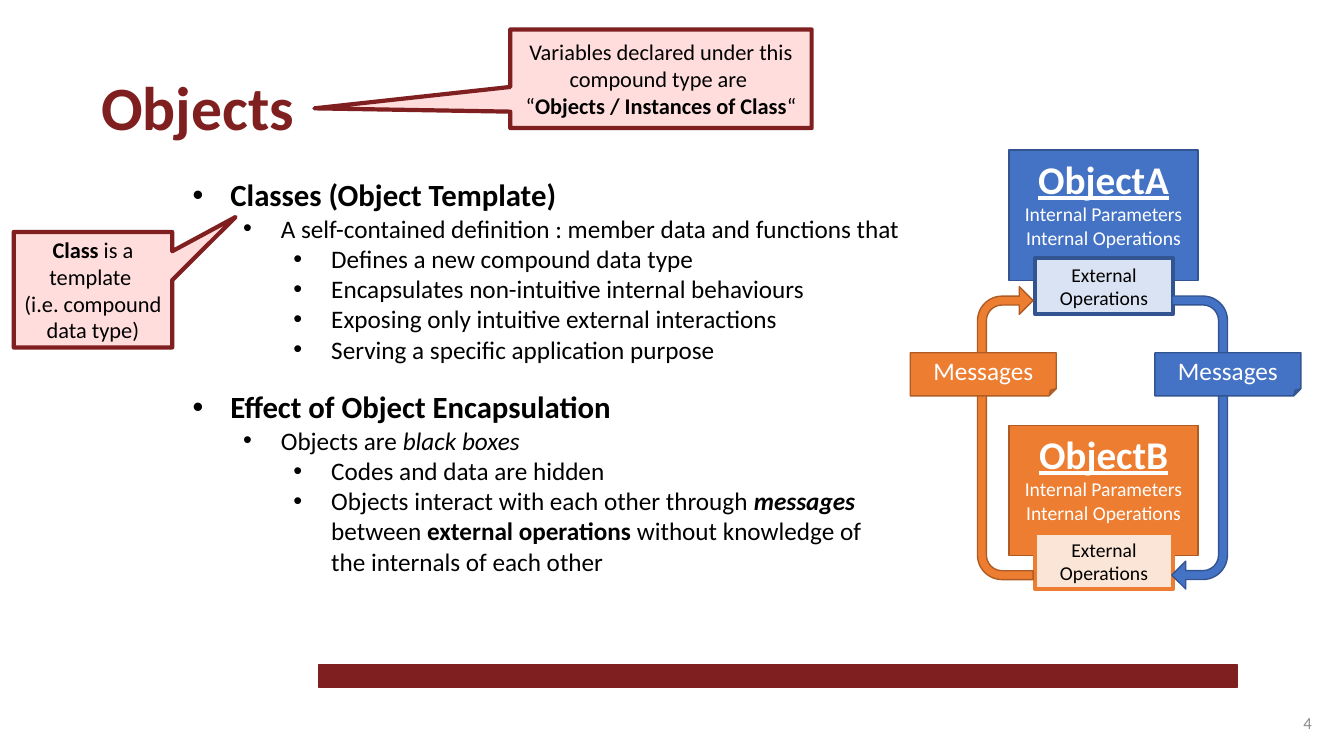
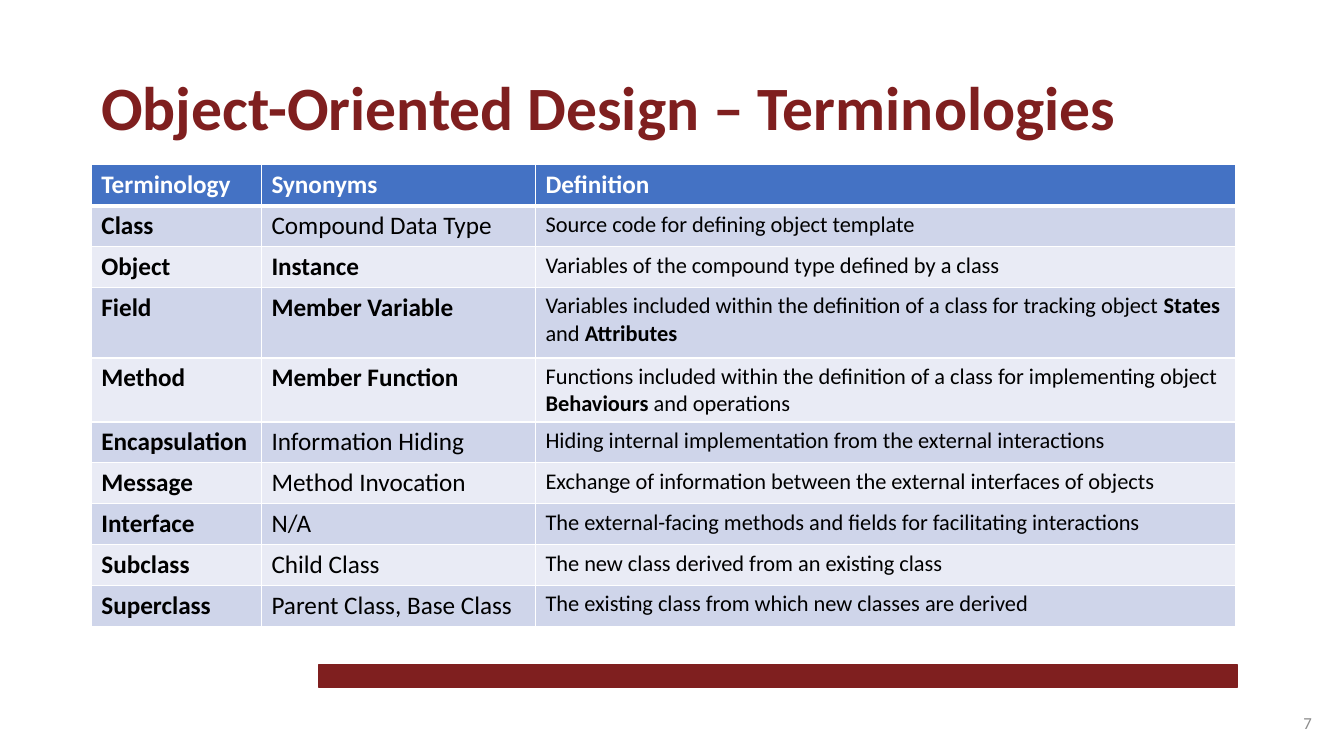
from pptx import Presentation
from pptx.dml.color import RGBColor
from pptx.enum.shapes import MSO_SHAPE as Preset
from pptx.enum.text import MSO_ANCHOR as Anchor, MSO_AUTO_SIZE as AutoSize, PP_ALIGN as Align
from pptx.oxml.ns import qn
from pptx.util import Emu, Pt
from lxml.etree import SubElement, Element

FONT = "Calibri"
MAROON, PINK = "7F1F1F", "FFDDDD"
BLUE, DARK_BLUE, PALE_BLUE = "4472C4", "325491", "DAE3F3"
ORANGE, DARK_ORANGE, PALE_ORANGE = "ED7D31", "AF5C24", "FBE5D6"
BAND_DARK, BAND_LIGHT = "CFD5EA", "E9EBF5"
BLACK, WHITE, GREY = "000000", "FFFFFF", "8C8C8C"

LEFT, CONTENT_WIDTH = 87, 1090
INDENT = 36
ROW_HEIGHT = 39
TALL_ROWS = {"Field": 67, "Method": 61}
COLUMN_WIDTHS = (162, 261, 667)

OUTLINE = [
    (0, [("Classes (Object Template)", "b")]),
    (1, ["A self-contained definition : member data and functions that"]),
    (2, ["Defines a new compound data type"]),
    (2, ["Encapsulates non-intuitive internal behaviours"]),
    (2, ["Exposing only intuitive external interactions"]),
    (2, ["Serving a specific application purpose"]),
    (0, [("Effect of Object Encapsulation", "b")]),
    (1, ["Objects are ", ("black boxes", "i")]),
    (2, ["Codes and data are hidden"]),
    (2, ["Objects interact with each other through ", ("messages\n", "bi"), "between ",
         ("external operations ", "b"), "without knowledge of \nthe internals of each other"]),
]

TERMS = [
    ("Class", "Compound Data Type", ["Source code for defining object template"]),
    ("Object", ("Instance", "b"), ["Variables of the compound type defined by a class"]),
    ("Field", ("Member Variable", "b"),
     ["Variables included within the definition of a class for tracking object ",
      ("States ", "b"), "and ", ("Attributes", "b")]),
    ("Method", ("Member Function", "b"),
     ["Functions included within the definition of a class for implementing object ",
      ("Behaviours", "b"), " and operations"]),
    ("Encapsulation", "Information Hiding",
     ["Hiding internal implementation from the external interactions"]),
    ("Message", "Method Invocation",
     ["Exchange of information between the external interfaces of objects"]),
    ("Interface", "N/A",
     ["The external-facing methods and fields for facilitating interactions"]),
    ("Subclass", "Child Class", ["The new class derived from an existing class"]),
    ("Superclass", "Parent Class, Base Class",
     ["The existing class from which new classes are derived"]),
]


def px(length):
    return Emu(length * 9525)


def color(value):
    return RGBColor.from_string(value)


def add_runs(paragraph, runs, size, text_color=BLACK):
    for item in runs:
        text, style = (item, "") if isinstance(item, str) else item
        for number, line in enumerate(text.split("\n")):
            if number:
                paragraph.add_line_break()
            if not line:
                continue
            run = paragraph.add_run()
            run.text = line
            font = run.font
            font.name, font.size = FONT, Pt(size)
            font.color.rgb = color(text_color)
            font.bold, font.italic = "b" in style, "i" in style
            font.underline = "u" in style


def next_paragraph(frame):
    first = frame.paragraphs[0]
    return frame.add_paragraph() if first.runs else first


def add_text(slide, box, runs, size, text_color, align=Align.LEFT, anchor=Anchor.TOP):
    frame = slide.shapes.add_textbox(*map(px, box)).text_frame
    frame.word_wrap = True
    frame.vertical_anchor = anchor
    paragraph = frame.paragraphs[0]
    paragraph.alignment = align
    add_runs(paragraph, runs, size, text_color)


def add_box(slide, preset, box, fill, line, line_width=1, lines=(), text_color=BLACK,
            anchor=Anchor.MIDDLE):
    shape = slide.shapes.add_shape(preset, *map(px, box))
    shape.shadow.inherit = False
    shape.fill.solid()
    shape.fill.fore_color.rgb = color(fill)
    shape.line.color.rgb = color(line)
    shape.line.width = Pt(line_width)
    frame = shape.text_frame
    frame.word_wrap = True
    frame.vertical_anchor = anchor
    for size, runs in lines:
        paragraph = next_paragraph(frame)
        paragraph.alignment = Align.CENTER
        add_runs(paragraph, runs, size, text_color)
    return shape


def adjust(shape, values):
    for index, value in enumerate(values):
        shape.adjustments[index] = value


def add_callout(slide, box, pointer, lines):
    callout = add_box(slide, Preset.RECTANGULAR_CALLOUT, box, PINK, MAROON, 3,
                      [(16, runs) for runs in lines])
    adjust(callout, pointer)


def add_outline(slide, box, items):
    frame = slide.shapes.add_textbox(*map(px, box)).text_frame
    frame.word_wrap = True
    frame.auto_size = AutoSize.SHAPE_TO_FIT_TEXT
    for number, (level, runs) in enumerate(items):
        paragraph = next_paragraph(frame)
        paragraph.level = level
        if number and level == 0:
            paragraph.space_before = Pt(17)
        properties = paragraph._p.get_or_add_pPr()
        properties.set("marL", str(px(INDENT + level * 48)))
        properties.set("indent", str(px(-INDENT)))
        SubElement(properties, qn("a:buFont"), typeface="Arial")
        SubElement(properties, qn("a:buChar"), char="•")
        add_runs(paragraph, runs, 18 if level else 22)


def add_object(slide, name, top, fill, line, port_fill, port_line):
    details = [(14, ["Internal Parameters"]), (14, ["Internal Operations"])]
    add_box(slide, Preset.RECTANGLE, (961, top, 180, 124), fill, line, 1,
            [(28, [(name, "bu")])] + details, WHITE, Anchor.TOP)
    add_box(slide, Preset.RECTANGLE, (986, top + 103, 131, 53), port_fill, port_line, 3,
            [(14, ["External Operations"])])


def add_message_arrow(slide, left, top, rotation, fill, line):
    arrow = add_box(slide, Preset.U_TURN_ARROW, (left, top, 279, 53), fill, line)
    adjust(arrow, (0.16, 0.25, 0.25, 0.44, 1))
    arrow.rotation = rotation


def add_message_label(slide, left, fill, line):
    add_box(slide, Preset.FOLDED_CORNER, (left, 336, 139, 41), fill, line, 1,
            [(18, ["Messages"])], WHITE)


def set_borders(cell, top, bottom):
    properties = cell._tc.get_or_add_tcPr()
    sides = (("L", 1), ("R", 1), ("T", top), ("B", bottom))
    for index, (side, width) in enumerate(sides):
        border = Element(qn("a:ln" + side), w=str(Pt(width)))
        fill = SubElement(border, qn("a:solidFill"))
        SubElement(fill, qn("a:srgbClr"), val=WHITE)
        properties.insert(index, border)


def fill_row(table, index, cells, sizes, fill, text_color):
    for column, runs in enumerate(cells):
        cell = table.cell(index, column)
        cell.fill.solid()
        cell.fill.fore_color.rgb = color(fill)
        set_borders(cell, 3 if index == 1 else 1, 1 if index else 3)
        add_runs(cell.text_frame.paragraphs[0], runs, sizes[column], text_color)


def add_terms_table(slide, left, top, terms):
    heights = [ROW_HEIGHT] + [TALL_ROWS.get(term[0], ROW_HEIGHT) for term in terms]
    table = slide.shapes.add_table(len(heights), len(COLUMN_WIDTHS), px(left), px(top),
                                   px(sum(COLUMN_WIDTHS)), px(sum(heights))).table
    table.horz_banding = False
    for column, width in zip(table.columns, COLUMN_WIDTHS):
        column.width = px(width)
    for row, height in zip(table.rows, heights):
        row.height = px(height)
    headings = [[(text, "b")] for text in ("Terminology", "Synonyms", "Definition")]
    fill_row(table, 0, headings, (18, 18, 18), BLUE, WHITE)
    for index, (term, synonym, definition) in enumerate(terms, 1):
        band = BAND_DARK if index % 2 else BAND_LIGHT
        fill_row(table, index, ([(term, "b")], [synonym], definition), (18, 18, 16),
                 band, BLACK)


def add_slide(presentation, title, title_width, number):
    slide = presentation.slides.add_slide(presentation.slide_layouts[6])
    add_box(slide, Preset.RECTANGLE, (304, 633, 874, 22), MAROON, MAROON)
    add_text(slide, (LEFT, 61, title_width, 81), [(title, "b")], 44, MAROON)
    add_text(slide, (971, 669, 288, 38), [number], 12, GREY, Align.RIGHT, Anchor.MIDDLE)
    return slide


def build_objects_slide(presentation):
    slide = add_slide(presentation, "Objects", 217, "4")
    add_outline(slide, (174, 163, 727, 395), OUTLINE)
    add_object(slide, "ObjectA", 143, BLUE, DARK_BLUE, PALE_BLUE, DARK_BLUE)
    add_object(slide, "ObjectB", 405, ORANGE, DARK_ORANGE, PALE_ORANGE, ORANGE)
    add_message_arrow(slide, 1003, 395, 90, BLUE, DARK_BLUE)
    add_message_arrow(slide, 818, 386, 270, ORANGE, DARK_ORANGE)
    add_message_label(slide, 1100, BLUE, DARK_BLUE)
    add_message_label(slide, 867, ORANGE, DARK_ORANGE)
    add_callout(slide, (13, 221, 151, 110), (0.9, -0.63),
                [[("Class ", "b"), "is a template "], ["(i.e. compound data type)"]])
    add_callout(slide, (486, 28, 287, 94), (-1.15, 0.3),
                [["Variables declared under this compound type are "],
                 ["“", ("Objects / Instances of Class", "b"), "“"]])


def build_terms_slide(presentation):
    slide = add_slide(presentation, "Object-Oriented Design – Terminologies",
                      CONTENT_WIDTH, "7")
    add_terms_table(slide, LEFT, 157, TERMS)


def main():
    presentation = Presentation()
    presentation.slide_width, presentation.slide_height = px(1280), px(720)
    build_objects_slide(presentation)
    build_terms_slide(presentation)
    presentation.save("out.pptx")


if __name__ == "__main__":
    main()
